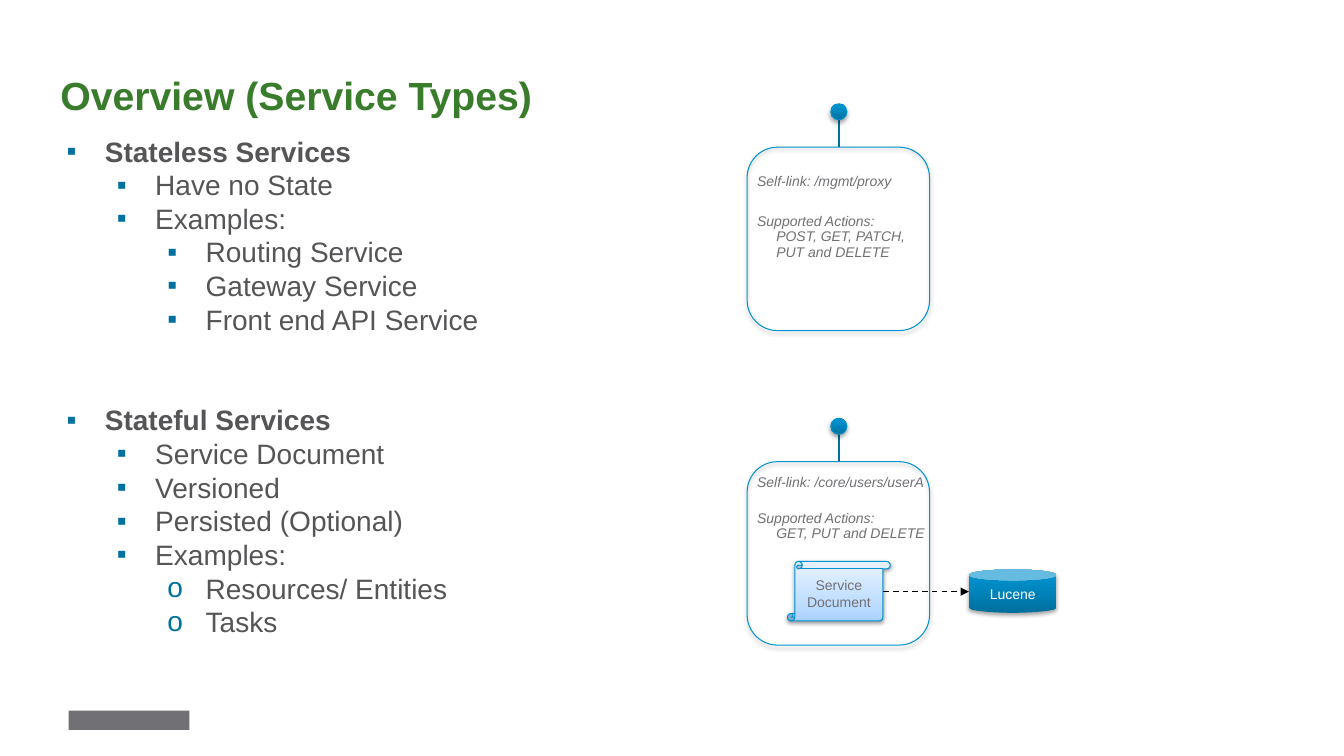
from lxml.etree import SubElement
from pptx import Presentation
from pptx.dml.color import RGBColor
from pptx.enum.dml import MSO_LINE
from pptx.enum.shapes import MSO_CONNECTOR, MSO_SHAPE
from pptx.enum.text import MSO_ANCHOR, PP_ALIGN
from pptx.oxml import parse_xml
from pptx.oxml.ns import nsdecls, qn
from pptx.util import Inches, Pt

COLORS = {"title": "387C2C", "body": "555457", "bullet": "00709E", "label": "717074",
          "outline": "0092CE", "white": "FFFFFF", "black": "000000"}
RGB = {name: RGBColor.from_string(value) for name, value in COLORS.items()}
BLUE = [(0, "006F9D"), (80, "0090CC"), (100, "0091CD")]
PALE = [(0, "A8D2FF"), (35, "C2DFFF"), (100, "E8F2FF")]


def write(tf, text, size=10, color="label", bold=False, italic=False, align=PP_ALIGN.LEFT,
          spacing=0.9, before=0, left=0, hang=0, bullet=None, level=0):
    """Add one paragraph to the frame, using its first one while that is empty."""
    p = tf.paragraphs[0] if not tf.text else tf.add_paragraph()
    p.alignment, p.line_spacing, p.space_before, p.level = align, spacing, Pt(before), level
    r = p.add_run()
    r.text = text
    r.font.name, r.font.size, r.font.bold, r.font.italic = "Arial", Pt(size), bold, italic
    r.font.color.rgb = RGB[color]
    pPr = p._p.get_or_add_pPr()
    pPr.set("marL", str(Inches(left)))
    pPr.set("indent", str(-Inches(hang)))
    if bullet:
        SubElement(SubElement(pPr, qn("a:buClr")), qn("a:srgbClr")).set("val", COLORS["bullet"])
        SubElement(pPr, qn("a:buFont")).set("typeface", "Arial")
        SubElement(pPr, qn("a:buChar")).set("char", bullet)


def add_shadowed(kind, x, y, w, h, stops=None, outline=True, opacity=35, distance=1.8):
    """Add a preset shape with an upward gradient and a soft shadow below it."""
    sp = s.shapes.add_shape(kind, Inches(x), Inches(y), Inches(w), Inches(h))
    if stops:
        gs = "".join(f'<a:gs pos="{pos * 1000}"><a:srgbClr val="{c}"/></a:gs>' for pos, c in stops)
        sp._element.spPr.insert(2, parse_xml(
            f'<a:gradFill {nsdecls("a")} rotWithShape="1"><a:gsLst>{gs}</a:gsLst>'
            '<a:lin ang="16200000" scaled="0"/></a:gradFill>'))
    else:
        sp.fill.background()
    if outline:
        sp.line.color.rgb = RGB["outline"]
        sp.line.width = Pt(0.75)
    else:
        sp.line.fill.background()
    sp.shadow.inherit = False
    sp._element.spPr.find(qn("a:effectLst")).append(parse_xml(
        f'<a:outerShdw {nsdecls("a")} blurRad="{Pt(3.1)}" dist="{Pt(distance)}" dir="5400000" '
        f'rotWithShape="0"><a:srgbClr val="000000"><a:alpha val="{opacity * 1000}"/>'
        '</a:srgbClr></a:outerShdw>'))
    return sp


prs = Presentation()
prs.slide_width, prs.slide_height = Inches(13.33), Inches(7.5)
s = prs.slides.add_slide(prs.slide_layouts[6])

# Title
tf = s.shapes.add_textbox(Inches(0.5), Inches(0.25), Inches(11.32), Inches(0.98)).text_frame
tf.word_wrap = True
tf.vertical_anchor = MSO_ANCHOR.BOTTOM
write(tf, "Overview (Service Types)", size=28, color="title", bold=True)

# Bullet list
outline_items = [
    (0, "▪", "Stateless Services"),
    (1, "▪", "Have no State"),
    (1, "▪", "Examples:"),
    (2, "▪", "Routing Service"),
    (2, "▪", "Gateway Service"),
    (2, "▪", "Front end API Service"),
    (0, "▪", "Stateful Services"),
    (1, "▪", "Service Document"),
    (1, "▪", "Versioned"),
    (1, "▪", "Persisted (Optional)"),
    (1, "▪", "Examples:"),
    (2, "o", "Resources/ Entities"),
    (2, "o", "Tasks"),
]
tf = s.shapes.add_textbox(Inches(0.66), Inches(1.33), Inches(12.25), Inches(5.42)).text_frame
tf.word_wrap = True
tf.margin_left = tf.margin_top = tf.margin_right = tf.margin_bottom = 0
for i, (level, bullet, text) in enumerate(outline_items):
    write(tf, text, size=20, color="body", bold=level == 0, spacing=Pt(24),
          before=48 if i and level == 0 else 0, left=0.38 + 0.5 * level, hang=0.38,
          bullet=bullet, level=level)

# Service boxes: box top, link top, actions top, link, actions
services = [
    (1.46, 1.73, 2.13, "Self-link: /mgmt/proxy", ["POST, GET, PATCH,", "PUT and DELETE"]),
    (4.58, 4.72, 5.07, "Self-link: /core/users/userA", ["GET, PUT and DELETE"]),
]
lines = []
for top, link_top, actions_top, link, actions in services:
    add_shadowed(MSO_SHAPE.FLOWCHART_ALTERNATE_PROCESS, 7.41, top, 1.81, 1.82)
    stem = s.shapes.add_connector(MSO_CONNECTOR.STRAIGHT, Inches(8.32), Inches(top),
                                  Inches(8.32), Inches(top - 0.27))
    stem.line.color.rgb = RGB["bullet"]
    stem.line.width = Pt(1.5)
    lines.append(stem)
    add_shadowed(MSO_SHAPE.OVAL, 8.24, top - 0.43, 0.16, 0.16, BLUE)
    for y, heading, details in [(link_top, link, []),
                                (actions_top, "Supported Actions:", actions)]:
        tf = s.shapes.add_textbox(Inches(7.51), Inches(y), Inches(2.95), Inches(0.31)).text_frame
        tf.word_wrap = False
        tf.margin_left = tf.margin_top = tf.margin_right = tf.margin_bottom = 0
        write(tf, heading, italic=True)
        for detail in details:
            write(tf, detail, italic=True, left=0.19)

# Service document and its store
document = add_shadowed(MSO_SHAPE.VERTICAL_SCROLL, 7.81, 5.57, 1.02, 0.59, PALE,
                        opacity=38, distance=1.6)
store = add_shadowed(MSO_SHAPE.CAN, 9.61, 5.65, 0.87, 0.43, BLUE, outline=False)
for sp, text, color in [(document, "Service Document", "label"), (store, "Lucene", "white")]:
    sp.text_frame.word_wrap = True
    sp.text_frame.vertical_anchor = MSO_ANCHOR.MIDDLE
    write(sp.text_frame, text, color=color, align=PP_ALIGN.CENTER, spacing=1.0)

arrow = s.shapes.add_connector(MSO_CONNECTOR.STRAIGHT, Inches(8.76), Inches(5.87),
                               Inches(9.61), Inches(5.87))
arrow.line.color.rgb = RGB["black"]
arrow.line.width = Pt(1)
arrow.line.dash_style = MSO_LINE.DASH
SubElement(arrow.line._get_or_add_ln(), qn("a:tailEnd")).set("type", "triangle")
lines.append(arrow)
for line in lines:
    SubElement(line._element.spPr, qn("a:effectLst"))

# Footer mark
mark = s.shapes.add_shape(MSO_SHAPE.RECTANGLE, Inches(0.68), Inches(7.05),
                          Inches(1.2), Inches(0.19))
mark.fill.solid()
mark.fill.fore_color.rgb = RGB["label"]
mark.line.fill.background()
mark.shadow.inherit = False

prs.save("out.pptx")
